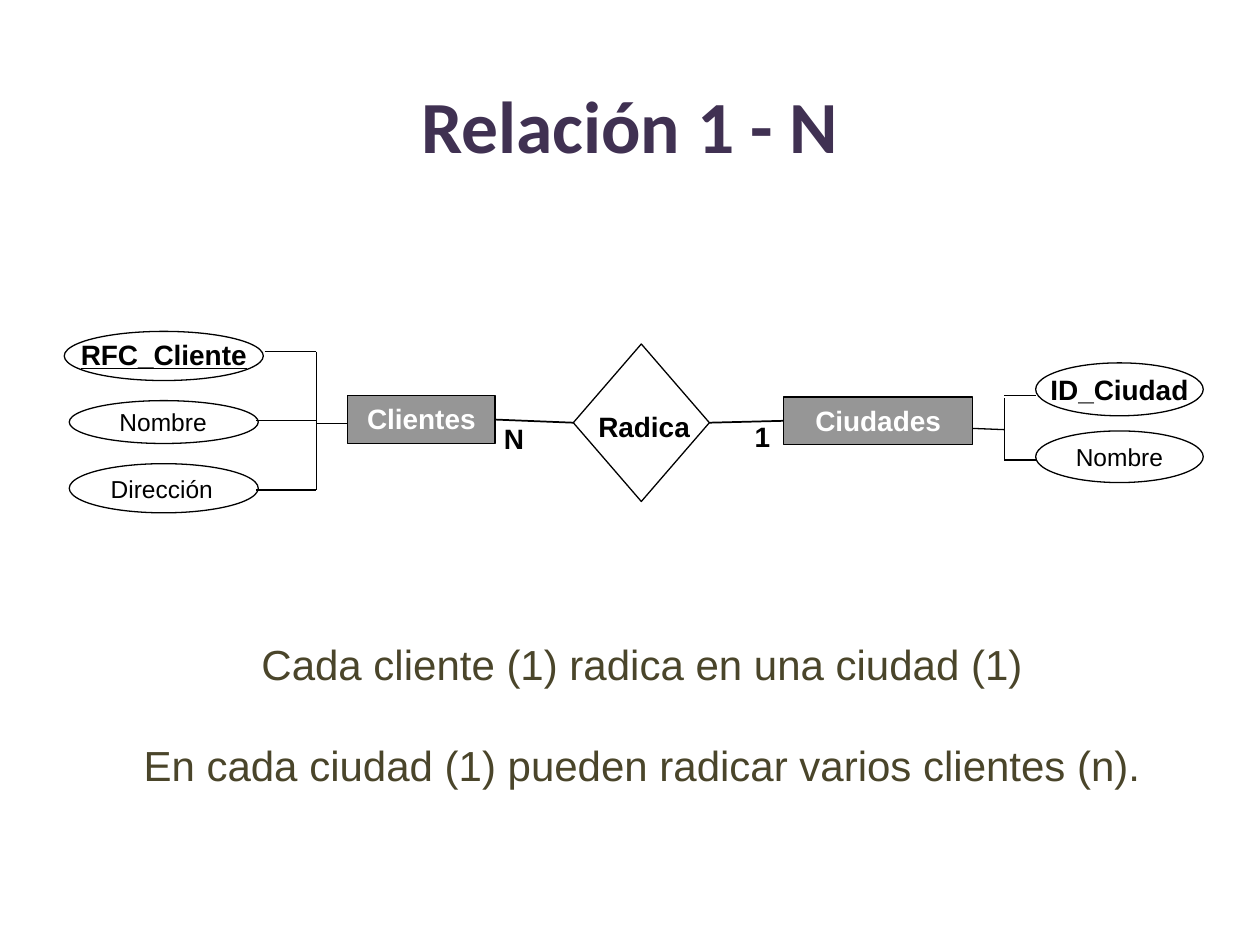
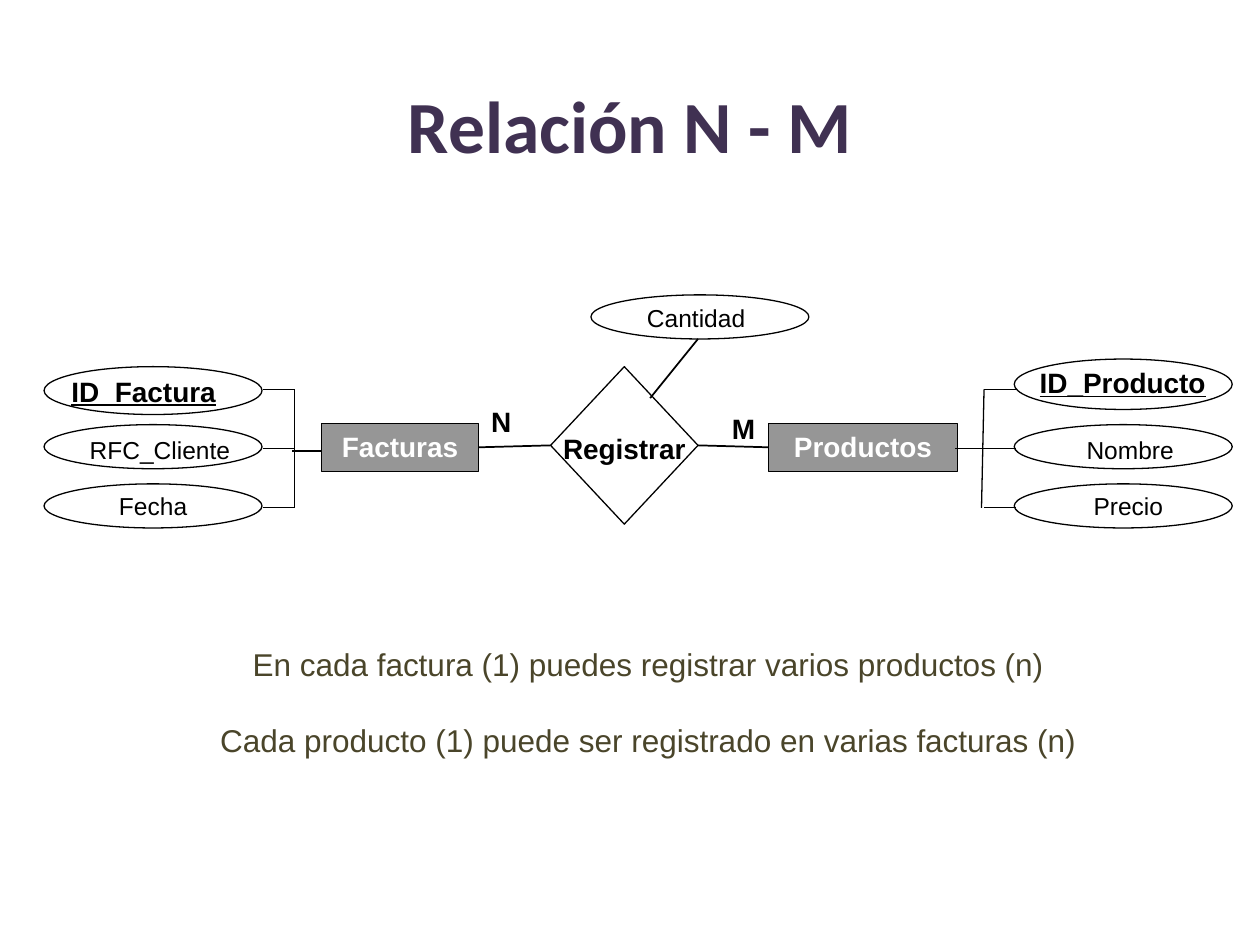
from lxml import etree
from pptx import Presentation
from pptx import util as u
from pptx.dml.color import RGBColor
from pptx.enum import shapes, text
from pptx.oxml import ns

PX = 9144
PURPLE = RGBColor(0x40, 0x31, 0x52)
OLIVE = RGBColor(0x4A, 0x45, 0x2A)
GRAY = RGBColor(0x96, 0x96, 0x96)
BLACK = RGBColor(0, 0, 0)
WHITE = RGBColor(255, 255, 255)
TOP, LEFT, BOTTOM, RIGHT = range(4)
TITLE_BOX = (75, 38, 850, 121)

# Boxes are (left, top, width, height); a missing label box centres the label in its ellipse.
DIAGRAMS = [
    dict(
        title="Relación 1 - N",
        entities=[("Clientes", (276, 314, 117, 38)), ("Ciudades", (622, 315, 150, 38))],
        relation=("Radica", (455, 273, 108, 125), (465, 320, 108, 37)),
        cardinalities=[("N", (390, 330, 42, 37)), ("1", (589, 328, 25, 37))],
        keys=[
            ("RFC_Cliente", (51, 263, 158, 39), (51, 263, 158, 37), True),
            ("ID_Ciudad", (822, 288, 133, 42), None, False),
        ],
        attributes=[
            ("Nombre", (55, 318, 150, 34), (71, 318, 117, 33)),
            ("Dirección", (55, 368, 150, 39), (70, 371, 117, 33)),
            ("Nombre", (822, 342, 133, 41), None),
        ],
        branches=[
            dict(trunk=(251, 279, 251, 389), stem=(251, 336, 276, 336),
                 twigs=[(210, 279), (203, 334), (203, 389)]),
            dict(trunk=(797, 316, 797, 365), stem=(772, 340, 797, 341),
                 twigs=[(822, 314), (822, 365)]),
        ],
        links=[],
        rules=["Cada cliente (1) radica en una ciudad (1)",
               "En cada ciudad (1) pueden radicar varios clientes (n)."],
        rules_box=(80, 462, 859, 159), rules_size=24,
    ),
    dict(
        title="Relación N - M",
        entities=[("Facturas", (255, 336, 125, 38)), ("Productos", (610, 336, 150, 38))],
        relation=("Registrar", (437, 291, 117, 125), (437, 338, 125, 37)),
        cardinalities=[("N", (380, 316, 42, 37)), ("M", (571, 322, 42, 37))],
        keys=[
            ("ID_Factura", (35, 291, 173, 38), (35, 292, 158, 37), True),
            ("ID_Producto", (805, 285, 173, 40), (812, 285, 158, 37), True),
        ],
        attributes=[
            ("RFC_Cliente", (35, 337, 173, 35), (51, 340, 152, 33)),
            ("Fecha", (35, 384, 173, 35), (59, 385, 125, 33)),
            ("Cantidad", (469, 234, 173, 35), (494, 236, 117, 33)),
            ("Nombre", (805, 337, 173, 35), (821, 340, 152, 33)),
            ("Precio", (805, 384, 173, 35), (821, 385, 149, 33)),
        ],
        branches=[
            dict(trunk=(234, 309, 234, 403), stem=(232, 358, 255, 358),
                 twigs=[(209, y) for y in range(309, 404, 47)]),
            dict(trunk=(781, 309, 779, 403), stem=(758, 356, 781, 356),
                 twigs=[(806, y) for y in range(309, 404, 47)]),
        ],
        links=[(516, 316, 554, 269)],
        rules=["En cada factura (1) puedes registrar varios productos (n)",
               "Cada producto (1) puede ser registrado en varias facturas (n)"],
        rules_box=(43, 477, 943, 122), rules_size=18,
    ),
]


def emu(lengths):
    return [length * PX for length in lengths]


def write(holder, lines, size, color=BLACK, font="Arial", bold=False, underline=False,
          align=text.PP_ALIGN.CENTER, anchor=text.MSO_ANCHOR.TOP, spacing=None, wrap=True):
    frame = holder.text_frame
    frame.text = "\n".join(lines)
    frame.word_wrap = wrap
    frame.vertical_anchor = anchor
    for paragraph in frame.paragraphs:
        paragraph.alignment = align
        if spacing:
            paragraph.line_spacing = spacing
        for run in paragraph.runs:
            run.font.name = font
            run.font.size = u.Pt(size)
            run.font.bold = bold
            run.font.underline = underline
            run.font.color.rgb = color


def add_label(slide, label, box, size, **style):
    write(slide.shapes.add_textbox(*emu(box)), [label], size, **style)


def add_outline(slide, kind, box, fill=None):
    outline = slide.shapes.add_shape(kind, *emu(box))
    outline.shadow.inherit = False
    outline.line.color.rgb = BLACK
    outline.line.width = u.Pt(0.75)
    if fill is None:
        outline.fill.background()
    else:
        outline.fill.solid()
        outline.fill.fore_color.rgb = fill
    return outline


def add_line(slide, ends, width=0.75):
    line = slide.shapes.add_connector(shapes.MSO_CONNECTOR.STRAIGHT, *emu(ends))
    line.line.color.rgb = BLACK
    line.line.width = u.Pt(width)
    etree.SubElement(line._element.spPr, ns.qn("a:effectLst"))
    return line


def add_attribute(slide, label, box, label_box, size, **style):
    ellipse = add_outline(slide, shapes.MSO_SHAPE.OVAL, box)
    if label_box:
        add_label(slide, label, label_box, size, **style)
    else:
        write(ellipse, [label], size, anchor=text.MSO_ANCHOR.MIDDLE, wrap=False, **style)


def add_entity(slide, name, box):
    entity = add_outline(slide, shapes.MSO_SHAPE.RECTANGLE, box, GRAY)
    write(entity, [name], 16, color=WHITE, bold=True)
    return entity


def add_branch(slide, trunk, stem, twigs):
    add_line(slide, trunk)
    add_line(slide, stem)
    for x, y in twigs:
        add_line(slide, (x, y, trunk[0], y))


def draw(slide, diagram):
    write(slide.shapes.add_textbox(*emu(TITLE_BOX)), [diagram["title"]], 42, color=PURPLE,
          font="Calibri", bold=True, anchor=text.MSO_ANCHOR.MIDDLE)

    left_entity, right_entity = [add_entity(slide, *entity) for entity in diagram["entities"]]
    relation, relation_box, relation_label_box = diagram["relation"]
    diamond = add_outline(slide, shapes.MSO_SHAPE.FLOWCHART_DECISION, relation_box)
    add_label(slide, relation, relation_label_box, 16, bold=True, align=text.PP_ALIGN.LEFT)
    for start, end in ((left_entity, diamond), (diamond, right_entity)):
        link = add_line(slide, (0, 0, 0, 0), 1)
        link.begin_connect(start, RIGHT)
        link.end_connect(end, LEFT)

    for cardinality, box in diagram["cardinalities"]:
        add_label(slide, cardinality, box, 16, bold=True, align=text.PP_ALIGN.LEFT)
    for label, box, label_box, underline in diagram["keys"]:
        add_attribute(slide, label, box, label_box, 16, bold=True, underline=underline)
    for label, box, label_box in diagram["attributes"]:
        add_attribute(slide, label, box, label_box, 14)
    for branch in diagram["branches"]:
        add_branch(slide, **branch)
    for ends in diagram["links"]:
        add_line(slide, ends, 1)

    write(slide.shapes.add_textbox(*emu(diagram["rules_box"])), diagram["rules"],
          diagram["rules_size"], color=OLIVE, spacing=2.0)


def main():
    deck = Presentation()
    deck.slide_width, deck.slide_height = emu((1000, 750))
    for diagram in DIAGRAMS:
        draw(deck.slides.add_slide(deck.slide_layouts[6]), diagram)
    deck.save("out.pptx")


if __name__ == "__main__":
    main()
